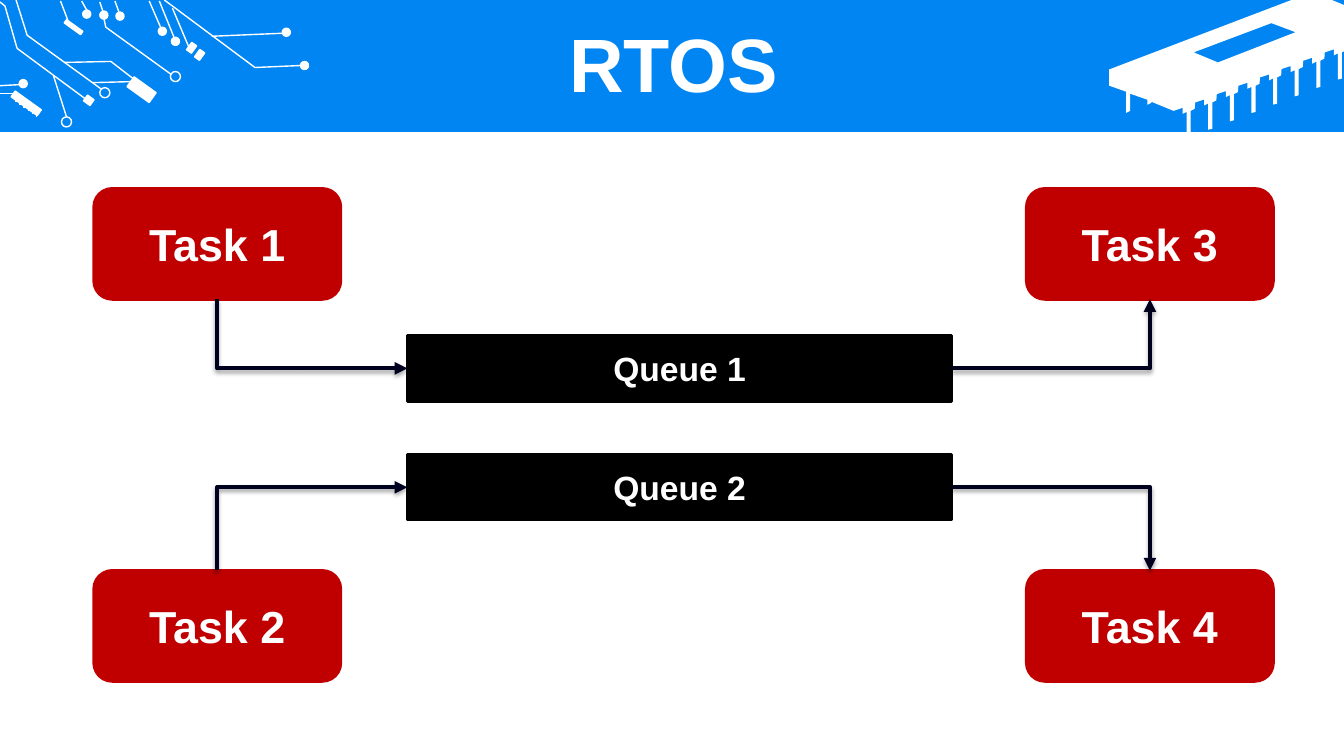
from lxml import etree
from pptx import Presentation
from pptx import util as u
from pptx.dml.color import RGBColor
from pptx.enum import shapes, text
from pptx.oxml.ns import qn

Inches = u.Inches
COLORS = {"band": "0085F2", "white": "FFFFFF", "task": "C00000",
          "queue": "000000", "arrow": "00001F", "shadow": "000000"}
FONT = "Arial"
TILT = 35.7
RECT = shapes.MSO_SHAPE.RECTANGLE
ROUND = shapes.MSO_SHAPE.ROUNDED_RECTANGLE
OVAL = shapes.MSO_SHAPE.OVAL
TOP, LEFT, BOTTOM, RIGHT = range(4)


def rgb(name):
    return RGBColor.from_string(COLORS[name])


def style(sp, fill, line=None, width=1):
    """Set fill and line; None means no fill or no line."""
    sp.shadow.inherit = False
    if fill:
        sp.fill.solid()
        sp.fill.fore_color.rgb = rgb(fill)
    else:
        sp.fill.background()
    if line:
        sp.line.color.rgb = rgb(line)
        sp.line.width = u.Pt(width)
    else:
        sp.line.fill.background()


def add_box(s, kind, x, y, w, h, fill, line=None, width=1, rotation=0):
    sp = s.shapes.add_shape(kind, Inches(x), Inches(y), Inches(w), Inches(h))
    style(sp, fill, line, width)
    sp.rotation = rotation
    return sp


def set_text(sp, label, size):
    tf = sp.text_frame
    tf.word_wrap = True
    tf.vertical_anchor = text.MSO_ANCHOR.MIDDLE
    p = tf.paragraphs[0]
    p.alignment = text.PP_ALIGN.CENTER
    r = p.add_run()
    r.text = label
    r.font.name = FONT
    r.font.size = u.Pt(size)
    r.font.bold = True
    r.font.color.rgb = rgb("white")
    return p


def add_outline(s, contours, fill=None, line=None):
    """Freeform from one or more contours; filled ones are closed."""
    contours = [[(Inches(x), Inches(y)) for x, y in c] for c in contours]
    fb = s.shapes.build_freeform(*contours[0][0])
    for i, points in enumerate(contours):
        if i:
            fb.move_to(*points[0])
        fb.add_line_segments(points[1:], close=bool(fill))
    style(fb.convert_to_shape(), fill, line)


def add_line(s, x1, y1, x2, y2):
    c = s.shapes.add_connector(shapes.MSO_CONNECTOR.STRAIGHT, Inches(x1),
                               Inches(y1), Inches(x2), Inches(y2))
    c.line.color.rgb = rgb("white")
    c.line.width = u.Pt(1)
    etree.SubElement(c._element.spPr, qn("a:effectLst"))


def add_arrow(s, source, source_side, target, target_side):
    """One-bend arrow with a soft shadow between two joined boxes."""
    c = s.shapes.add_connector(shapes.MSO_CONNECTOR.ELBOW, 0, 0, 0, 0)
    c.begin_connect(source, source_side)
    c.end_connect(target, target_side)
    spPr = c._element.spPr
    spPr.find(qn("a:prstGeom")).set("prst", "bentConnector2")
    if source_side in (TOP, BOTTOM):
        # The bend runs sideways first, so turn it to leave vertically
        up = source_side == TOP
        x, y, w, h = c.left, c.top, c.width, c.height
        c.left, c.top = x + (w - h) // 2, y + (h - w) // 2
        c.width, c.height = h, w
        xfrm = spPr.find(qn("a:xfrm"))
        xfrm.set("rot", "5400000" if up else "16200000")
        xfrm.set("flipH", "1")
        xfrm.set("flipV", "1" if up else "0")
    c.line.color.rgb = rgb("arrow")
    c.line.width = u.Pt(3)
    etree.SubElement(spPr.find(qn("a:ln")), qn("a:tailEnd"), type="triangle")
    effects = etree.SubElement(spPr, qn("a:effectLst"))
    shadow = etree.SubElement(effects, qn("a:outerShdw"), blurRad="40000",
                              dist="23000", dir="5400000", rotWithShape="0")
    color = etree.SubElement(shadow, qn("a:srgbClr"), val=COLORS["shadow"])
    etree.SubElement(color, qn("a:alpha"), val="35000")


def add_chip(s):
    window = [(12.61, 0.23), (11.84, 0.52), (12.08, 0.62), (12.85, 0.32)]
    pin = [(0.04, -0.02), (0, 0), (0, 0.26), (-0.04, 0.27), (-0.04, 0.01),
           (-0.08, 0.03), (-0.08, -0.03), (-0.17, 0)]
    pins = [(13.31 - 1.5 * i / 7 + dx, 0.52 + 0.58 * i / 7 + dy)
            for i in range(8) for dx, dy in pin]
    body = [(12.81, 0), (13.21, 0), (13.33, 0.05), (13.33, 0.51), *pins[1:],
            (11.42, 1.01), (11.42, 1.02), (11.38, 1.04), (11.38, 0.99),
            (11.21, 0.93), (11.21, 1.1), (11.17, 1.12), (11.17, 0.91),
            (11, 0.85), (11, 0.69)]
    add_outline(s, [window, body], fill="white")


def add_circuit(s):
    # Components
    for x, y, w, h in [(1.27, 0.83, 0.27, 0.12), (0.63, 0.25, 0.2, 0.04),
                       (0.84, 0.96, 0.08, 0.07), (1.87, 0.43, 0.06, 0.09),
                       (1.95, 0.5, 0.06, 0.09), (0.1, 0.99, 0.32, 0.07)]:
        add_box(s, RECT, x, y, w, h, "white", "white", rotation=TILT)
    # Solid and open pads
    for x, y in [(2.98, 0.61), (2.8, 0.28), (0.82, 0.1), (0.99, 0.11),
                 (1.15, 0.12), (0.19, 0.79), (1.7, 0.37), (1.57, 0.27)]:
        add_box(s, OVAL, x, y, 0.08, 0.08, "white", "white", rotation=TILT)
    for x, y in [(1.69, 0.71), (0.99, 0.87), (0.61, 1.16)]:
        add_box(s, OVAL, x, y, 0.1, 0.1, None, "white", rotation=TILT)
    # Straight traces, then the legs of the lower left component
    traces = [(0.6, 0.01, 0.68, 0.22), (0.81, 0.01, 0.86, 0.1),
              (0.99, 0.02, 1.02, 0.11), (1.14, 0.01, 1.18, 0.12),
              (1.48, 0.01, 1.61, 0.31), (1.58, 0.01, 1.73, 0.38),
              (2.1, 0.36, 2.8, 0.33), (1.71, 0.08, 1.87, 0.46),
              (0, 0.85, 0.19, 0.84), (0, 0.93, 0.14, 0.93),
              (0.53, 0.75, 0.66, 1.16), (0.92, 0.82, 1.3, 0.81)]
    legs = [(0.16 + 0.04 * i, 1.01 + 0.03 * i, 0.16 + 0.04 * i, 0.9 + 0.03 * i)
            for i in range(6)]
    for trace in traces + legs:
        add_line(s, *trace)
    # Bent traces
    for points in [[(1.63, 0), (2.53, 0.67), (2.99, 0.65)],
                   [(0.16, 0), (0.27, 0.35), (1, 0.88)],
                   [(0, 0.02), (0.05, 0.06), (0.17, 0.48), (0.86, 0.99)],
                   [(0.64, 0.62), (1.1, 0.61), (1.32, 0.78)],
                   [(1.03, 0.18), (1.05, 0.27), (1.7, 0.74)]]:
        add_outline(s, [points], line="white")


def add_task(s, number, x, y):
    sp = add_box(s, ROUND, x, y, 2.45, 1.1, "task", "task", 2)
    set_text(sp, f"Task {number}", 32)
    return sp


def add_queue(s, number, y):
    sp = add_box(s, RECT, 4.04, y, 5.4, 0.65, "queue", "queue", 2)
    set_text(sp, f"Queue {number}", 24)
    return sp


def main():
    prs = Presentation()
    prs.slide_width, prs.slide_height = Inches(13.33), Inches(7.5)
    s = prs.slides.add_slide(prs.slide_layouts[6])

    # Title band
    add_box(s, RECT, 0, 0, 13.33, 1.31, "band")
    add_chip(s)
    add_circuit(s)
    title = s.shapes.add_textbox(Inches(0.35), Inches(0.28),
                                 Inches(12.66), Inches(0.79))
    set_text(title, "RTOS", 54).line_spacing = 0.9

    # Each row: sending task, queue, receiving task
    rows = [(1, 1.87, 3.33, BOTTOM), (2, 5.66, 4.51, TOP)]
    for number, task_y, queue_y, side in rows:
        sender = add_task(s, number, 0.93, task_y)
        receiver = add_task(s, number + 2, 10.18, task_y)
        queue = add_queue(s, number, queue_y)
        add_arrow(s, sender, side, queue, LEFT)
        add_arrow(s, queue, RIGHT, receiver, side)

    prs.save("out.pptx")


if __name__ == "__main__":
    main()
